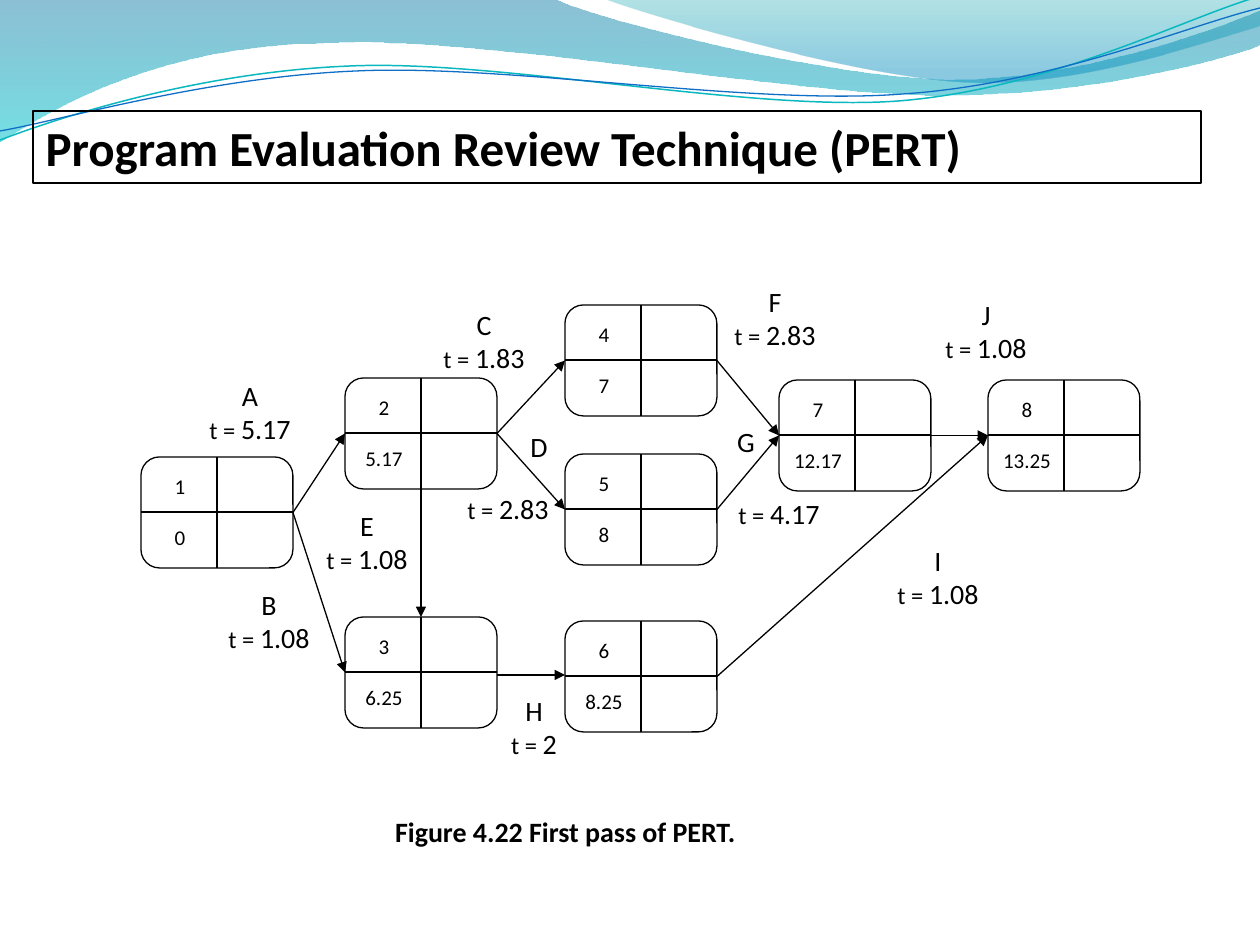
from lxml.etree import SubElement
from pptx import Presentation
from pptx.dml.color import RGBColor
from pptx.enum.shapes import MSO_CONNECTOR as CXN, MSO_SHAPE as SHAPE
from pptx.enum.text import MSO_ANCHOR as ANCHOR, MSO_AUTO_SIZE as AUTO, PP_ALIGN as ALIGN
from pptx.oxml.ns import qn
from pptx.util import Inches, Pt

PX = 7257  # EMU per px, 126 px to the inch
TOP, LEFT, BOTTOM, RIGHT = range(4)
rgb = RGBColor.from_string


def write(sp, lines, size=16, bold=False, align=ALIGN.CENTER, inset=None):
    """Each line is a list of runs: a string, or a (string, size) pair."""
    tf = sp.text_frame
    tf.word_wrap = True
    tf.auto_size = AUTO.NONE
    tf.vertical_anchor = ANCHOR.TOP
    if inset is not None:
        tf.margin_left = tf.margin_right = tf.margin_top = tf.margin_bottom = inset
    for i, runs in enumerate(lines):
        p = tf.paragraphs[0] if i == 0 else tf.add_paragraph()
        p.alignment = align
        for run in runs:
            words, points = (run, size) if isinstance(run, str) else run
            r = p.add_run()
            r.text = words
            r.font.name = "Calibri"
            r.font.size = Pt(points)
            r.font.bold = bold
            r.font.color.rgb = rgb("000000")


def add_line(shapes, x1, y1, x2, y2, arrow=False):
    c = shapes.add_connector(CXN.STRAIGHT, x1 * PX, y1 * PX, x2 * PX, y2 * PX)
    c.line.color.rgb = rgb("000000")
    c.line.width = Pt(0.75)
    if arrow:
        SubElement(c.line._ln, qn("a:tailEnd"), type="triangle")
    SubElement(c._element.spPr, qn("a:effectLst"))
    return c


prs = Presentation()
prs.slide_width, prs.slide_height = Inches(10), Inches(7.5)
s = prs.slides.add_slide(prs.slide_layouts[5])

# Header waves: start point, then line ends (2 numbers) or cubic curves (6 numbers)
waves = [
    ((0, 0),
     [(554, -1), (600, 21, 837, 79, 955, 79), (1075, 79, 1207, 33, 1260, 11), (1261, 45),
      (1239, 55, 1096, 96, 940, 95), (784, 95, 481, 35, 324, 43), (163, 45, 58, 105, -1, 142)],
     [(0, "0074A1", 45), (1, "00C6CF", 55)], None),
    ((604, -1),
     [(641, 14, 859, 78, 969, 82), (1079, 87, 1211, 40, 1260, 26), (1260, 0)],
     [(0, "00A1A9", 30), (0.8, "008BBF", 45)], None),
    ((0, 140),
     [(60, 117, 199, 72, 349, 66), (498, 59, 747, 112, 898, 101), (1050, 89, 1182, 19, 1257, -3)],
     None, ("0AB8BF", 0.85)),
    ((0, 131),
     [(59, 121, 207, 77, 357, 71), (508, 64, 751, 106, 903, 94), (1053, 84, 1186, 26, 1260, 8)],
     None, ("0F6FC6", 0.75)),
]
for start, segments, gradient, stroke in waves:
    fb = s.shapes.build_freeform(*start, scale=PX)
    for seg in segments:
        fb.add_line_segments(list(zip(seg[::2], seg[1::2])), close=False)
    if gradient:
        fb.add_line_segments([], close=True)
    sp = fb.convert_to_shape()
    # Turn each run of three points into one curve
    steps = iter(list(sp._element.iter(qn("a:lnTo"))))
    for seg in segments:
        step = next(steps)
        if len(seg) == 6:
            step.tag = qn("a:cubicBezTo")
            for _ in range(2):
                extra = next(steps)
                step.append(extra[0])
                extra.getparent().remove(extra)
    sp.shadow.inherit = False
    if gradient:
        sp.line.fill.background()
        sp.fill.gradient()
        sp.fill.gradient_angle = 270
        for stop, (pos, color, opacity) in zip(sp.fill.gradient_stops, gradient):
            stop.position = pos
            stop.color.rgb = rgb(color)
            SubElement(stop._gs[0], qn("a:alpha"), val=str(opacity * 1000))
    else:
        sp.fill.background()
        sp.line.color.rgb = rgb(stroke[0])
        sp.line.width = Pt(stroke[1])

# Title, in front of the waves
title = s.shapes.title
s.shapes._spTree.append(title._element)
title.left, title.top, title.width, title.height = 33 * PX, 111 * PX, 1168 * PX, 72 * PX
title.line.color.rgb = rgb("000000")
title.line.width = Pt(0.75)
write(title, [["Program Evaluation Review Technique (PERT)"]], size=28, bold=True, align=ALIGN.LEFT)

# Figure caption
sp = s.shapes.add_textbox(257 * PX, 808 * PX, 617 * PX, 47 * PX)
write(sp, [["Figure 4.22 First pass of PERT."]], bold=True)

# Event nodes: number, left, top, earliest time
W, H = 152, 111
nodes = {}
for number, x, y, time in [
    (1, 141, 457, "0"), (2, 345, 378, "5.17"), (4, 565, 305, "7"), (5, 565, 454, "8"),
    (6, 565, 621, "8.25"), (3, 345, 617, "6.25"), (7, 779, 380, "12.17"), (8, 988, 380, "13.25"),
]:
    group = s.shapes.add_group_shape().shapes
    sp = nodes[number] = group.add_shape(SHAPE.ROUNDED_RECTANGLE, x * PX, y * PX, W * PX, H * PX)
    sp.shadow.inherit = False
    sp.fill.background()
    sp.line.color.rgb = rgb("000000")
    sp.line.width = Pt(0.75)
    add_line(group, x + W // 2, y, x + W // 2, y + H)
    add_line(group, x, y + H // 2, x + W, y + H // 2)
    for words, dy in ((str(number), 17), (time, 68)):
        cell = group.add_textbox((x + 3) * PX, (y + dy) * PX, 72 * PX, 25 * PX)
        write(cell, [[words]], size=12, inset=0)

# Activity arrows between nodes
for a, b, side_a, side_b in [
    (1, 2, RIGHT, LEFT), (2, 4, RIGHT, LEFT), (5, 7, RIGHT, LEFT), (6, 8, RIGHT, LEFT),
    (1, 3, RIGHT, LEFT), (2, 3, BOTTOM, TOP), (2, 5, RIGHT, LEFT), (4, 7, RIGHT, LEFT),
    (7, 8, RIGHT, LEFT),
]:
    c = add_line(s.shapes, 0, 0, 0, 0, arrow=True)
    c.begin_connect(nodes[a], side_a)
    c.end_connect(nodes[b], side_b)

# Level arrow from node 3 to node 6, just off their middles
add_line(s.shapes, 497, 675, 565, 675, arrow=True)

# Activity labels: name, duration, left, top
for name, time, x, y in [
    ("A", "5.17", 195, 372), ("C", "1.83", 429, 301), ("B", "1.08", 214, 581),
    ("E", "1.08", 312, 502), ("H", "2", 479, 687), ("F", "2.83", 720, 278),
    ("J", "1.08", 931, 291), ("I", "1.08", 883, 537), (None, "4.17", 724, 490),
    (None, "2.83", 453, 485), ("D", None, 484, 423), ("G", None, 691, 418),
]:
    lines = [[name]] if name else []
    if time:
        lines.append([("t = ", 14), time])
    sp = s.shapes.add_textbox(x * PX, y * PX, 110 * PX, (13 + 34 * len(lines)) * PX)
    write(sp, lines)

prs.save("out.pptx")
